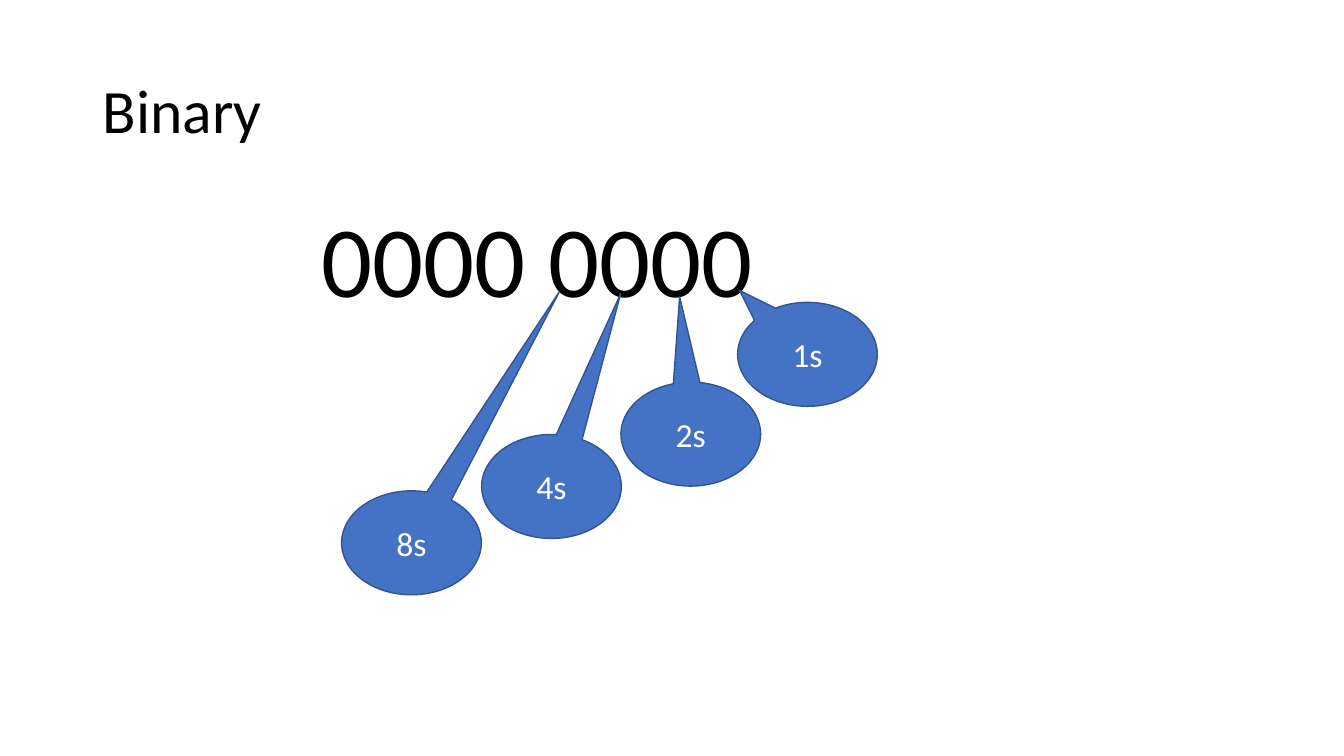
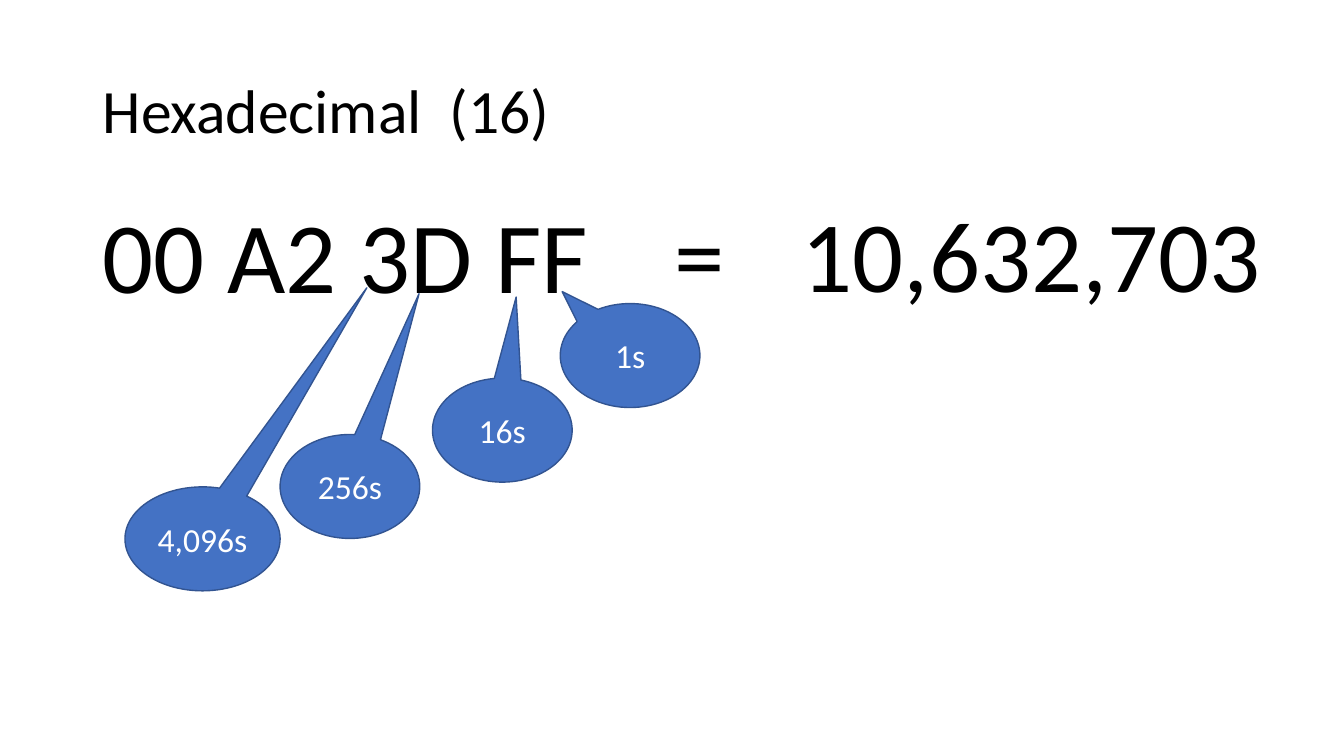
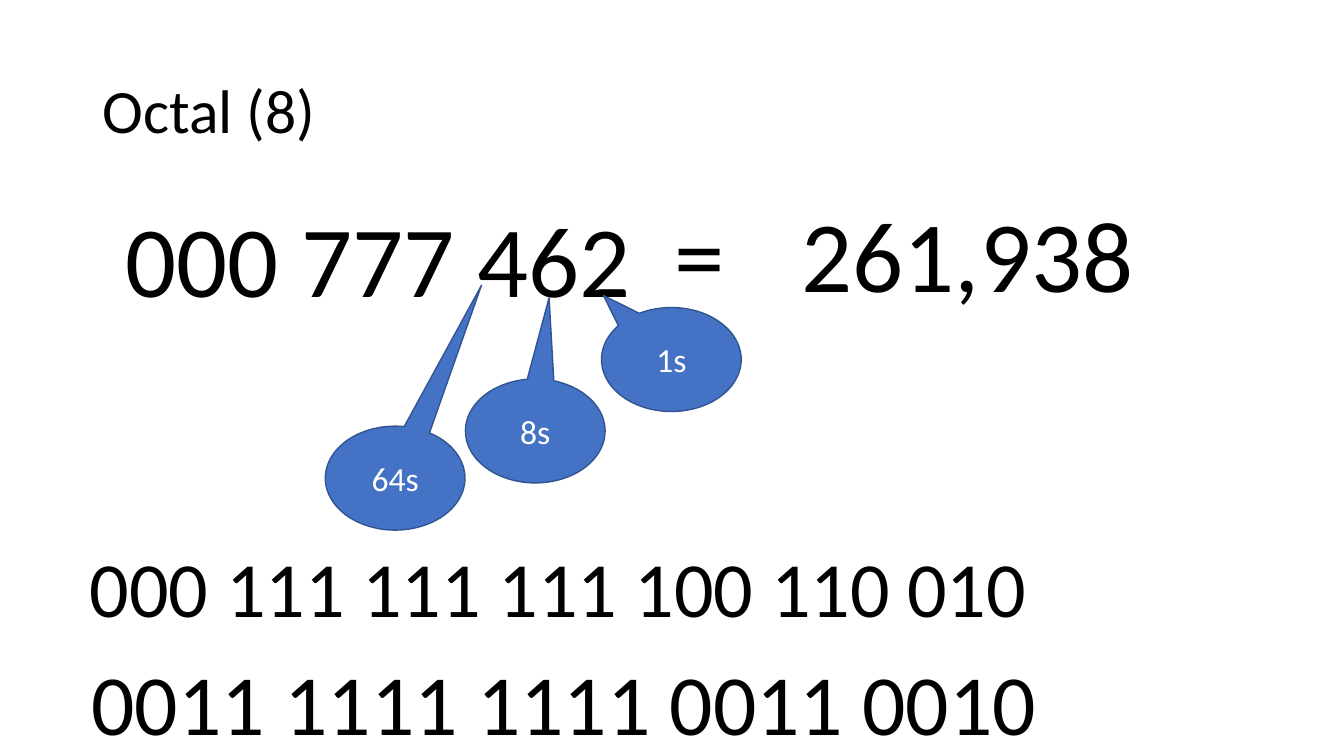
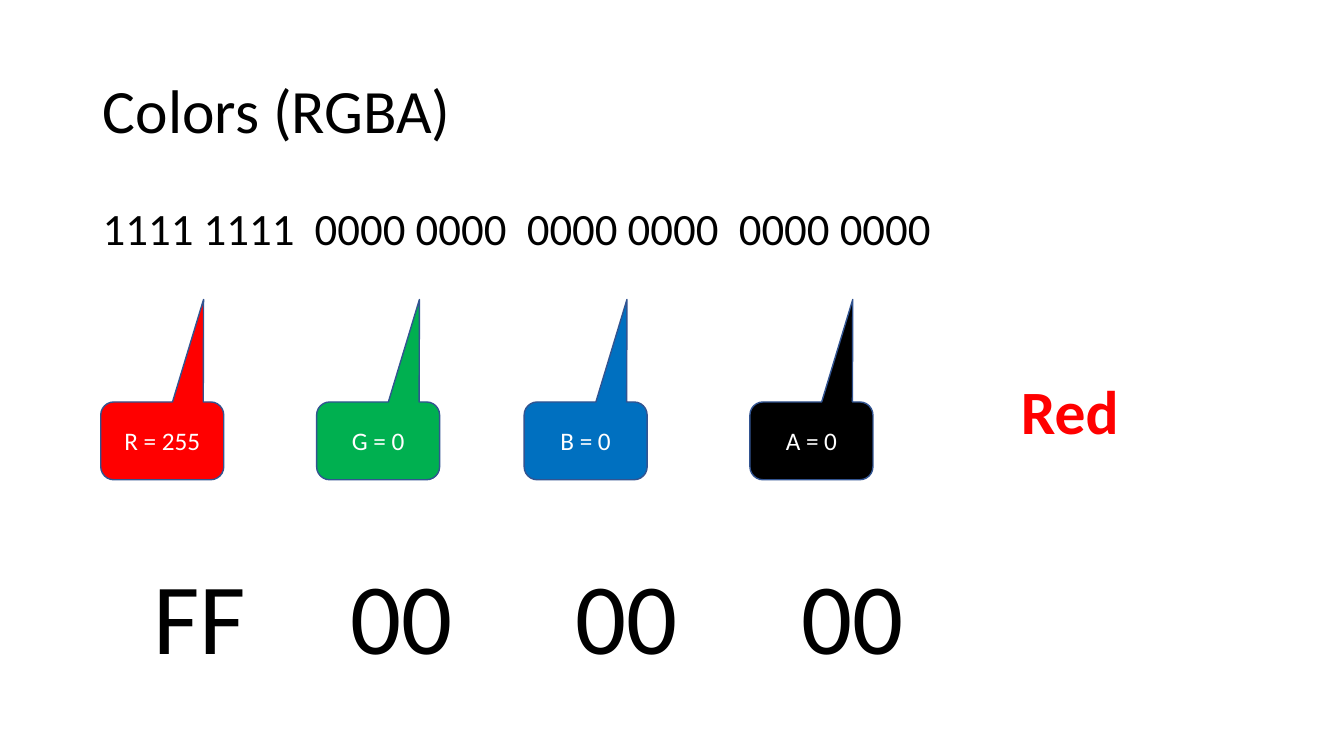
from dataclasses import dataclass

from pptx import Presentation
from pptx.dml.color import RGBColor
from pptx.enum.shapes import MSO_SHAPE
from pptx.enum.text import MSO_ANCHOR, MSO_AUTO_SIZE, PP_ALIGN
from pptx.util import Cm, Pt

OVAL = MSO_SHAPE.OVAL_CALLOUT
ROUND = MSO_SHAPE.ROUNDED_RECTANGULAR_CALLOUT
TOP, MIDDLE = MSO_ANCHOR.TOP, MSO_ANCHOR.MIDDLE
LEFT, CENTER = PP_ALIGN.LEFT, PP_ALIGN.CENTER
GROW = MSO_AUTO_SIZE.SHAPE_TO_FIT_TEXT


@dataclass(frozen=True)
class Theme:
    font: str = "Calibri"
    ink: str = "000000"
    paper: str = "FFFFFF"
    blue: str = "4472C4"
    edge: str = "325491"
    red: str = "FF0000"
    green: str = "00B050"
    azure: str = "0070C0"
    title: float = 44
    digits: float = 72
    octets: float = 61.2
    triples: float = 55.8
    bits: float = 32
    place: float = 24
    channel: float = 18


THEME = Theme()

# All lengths are in centimetres.
WIDTH, HEIGHT = 33.87, 19.05
TITLE_BOX = (2.34, 1.02, 29.21, 3.68)
OVAL_SIZE = (3.52, 2.62)
ROUND_SIZE = (3.1, 1.96)
SUM_TOP, LABEL_HIGH = 4.7, 3.33
CHANNEL_TOP, HEX_TOP = 10.13, 13.82
CHANNEL_TIP = (0.336, -1.818, 0.167)
ONES_TIP = (-0.486, -0.615)

# Lines: text, box, size, line spacing
# Places: text, left, top, pointer tip, width
# Labels: text, left, width
NUMBERS = [
    {
        "title": "Binary",
        "lines": [("0000 0000", (7.85, 5.18, 14.94, 3.68), THEME.digits, 0.9)],
        "places": [
            ("1s", 18.59, 7.62, ONES_TIP, OVAL_SIZE[0]),
            ("2s", 15.65, 9.63, (-0.08, -1.322), OVAL_SIZE[0]),
            ("4s", 12.14, 10.95, (0.495, -1.855), OVAL_SIZE[0]),
            ("8s", 8.61, 12.37, (1.059, -2.415), OVAL_SIZE[0]),
        ],
        "labels": [],
    },
    {
        "title": "Hexadecimal  (16)",
        "lines": [("00 A2 3D FF", (2.34, 5.08, 29.21, 12.09), THEME.digits, 0.9)],
        "places": [
            ("1s", 14.12, 7.65, ONES_TIP, OVAL_SIZE[0]),
            ("16s", 10.9, 9.53, (0.099, -1.28), OVAL_SIZE[0]),
            ("256s", 7.06, 10.95, (0.495, -1.855), OVAL_SIZE[0]),
            ("4,096s", 3.15, 12.27, (1.059, -2.415), 3.91),
        ],
        "labels": [("=", 16.74, 1.8), ("10,632,703", 19.96, 12.19)],
    },
    {
        "title": "Octal (8)",
        "lines": [
            (" 000 777 462", (2.34, 5.18, 29.21, 4.04), THEME.digits, 0.9),
            (" 0011 1111 1111 0011 0010", (1.57, 16.74, 25.17, 2.62), THEME.octets, 0.8),
            (" 000 111 111 111 100 110 010", (1.57, 14.12, 25.83, 2.62), THEME.triples, 0.7),
        ],
        "places": [
            ("1s", 15.16, 7.75, ONES_TIP, OVAL_SIZE[0]),
            ("8s", 11.73, 9.55, (0.099, -1.28), OVAL_SIZE[0]),
            ("64s", 8.2, 10.74, (0.618, -1.855), OVAL_SIZE[0]),
        ],
        "labels": [("=", 16.74, 1.8), ("261,938", 19.96, 8.97)],
    },
]

COLORS = {
    "title": "Colors (RGBA)",
    "bits": ("1111 1111  0000 0000  0000 0000  0000 0000", (2.34, 5.08, 23.83, 3.68)),
    "channels": [
        ("R = 255", 2.54, THEME.red),
        ("G = 0", 7.98, THEME.green),
        ("B = 0", 13.21, THEME.azure),
        ("A = 0", 18.9, THEME.ink),
    ],
    "name": ("Red", (25.48, 9.27, 4.27, 2.13)),
    "hex": [("FF", 3.61, 2.87), ("00", 8.59, 3.12), ("00", 14.25, 3.12), ("00", 19.94, 3.12)],
}


def rgb(code):
    return RGBColor.from_string(code)


def write(shape, text, size, color=THEME.ink, bold=False, align=LEFT, anchor=TOP):
    """Fill a shape with one run and return its paragraph."""
    frame = shape.text_frame
    frame.word_wrap = True
    frame.vertical_anchor = anchor
    para = frame.paragraphs[0]
    para.alignment = align
    run = para.add_run()
    run.text = text
    run.font.name = THEME.font
    run.font.size = Pt(size)
    run.font.bold = bold
    run.font.color.rgb = rgb(color)
    return para


def add_text(slide, box):
    return slide.shapes.add_textbox(*map(Cm, box))


def add_line(slide, text, box, size, spacing):
    para = write(add_text(slide, box), text, size)
    para.line_spacing = spacing
    para.space_before = Pt(10)


def add_label(slide, text, left, top, width):
    """Add large digits that never wrap."""
    box = add_text(slide, (left, top, width, LABEL_HIGH))
    write(box, text, THEME.digits)
    box.text_frame.word_wrap = False
    box.text_frame.auto_size = GROW


def add_callout(slide, kind, text, box, tip, fill, size):
    shape = slide.shapes.add_shape(kind, *map(Cm, box))
    for i, value in enumerate(tip):
        shape.adjustments[i] = value
    shape.shadow.inherit = False
    shape.fill.solid()
    shape.fill.fore_color.rgb = rgb(fill)
    shape.line.color.rgb = rgb(THEME.edge)
    shape.line.width = Pt(1)
    write(shape, text, size, THEME.paper, align=CENTER, anchor=MIDDLE)


def add_slide(deck, title):
    slide = deck.slides.add_slide(deck.slide_layouts[6])
    para = write(add_text(slide, TITLE_BOX), title, THEME.title, anchor=MIDDLE)
    para.line_spacing = 0.9
    return slide


def add_number(deck, data):
    slide = add_slide(deck, data["title"])
    for line in data["lines"]:
        add_line(slide, *line)
    for text, left, top, tip, width in data["places"]:
        box = (left, top, width, OVAL_SIZE[1])
        add_callout(slide, OVAL, text, box, tip, THEME.blue, THEME.place)
    for text, left, width in data["labels"]:
        add_label(slide, text, left, SUM_TOP, width)


def add_colors(deck, data):
    slide = add_slide(deck, data["title"])
    add_line(slide, *data["bits"], THEME.bits, 0.9)
    for text, left, fill in data["channels"]:
        box = (left, CHANNEL_TOP, *ROUND_SIZE)
        add_callout(slide, ROUND, text, box, CHANNEL_TIP, fill, THEME.channel)
    name, box = data["name"]
    write(add_text(slide, box), name, THEME.title, THEME.red, bold=True)
    for text, left, width in data["hex"]:
        add_label(slide, text, left, HEX_TOP, width)


def main():
    deck = Presentation()
    deck.slide_width, deck.slide_height = Cm(WIDTH), Cm(HEIGHT)
    for data in NUMBERS:
        add_number(deck, data)
    add_colors(deck, COLORS)
    deck.save("out.pptx")


if __name__ == "__main__":
    main()
